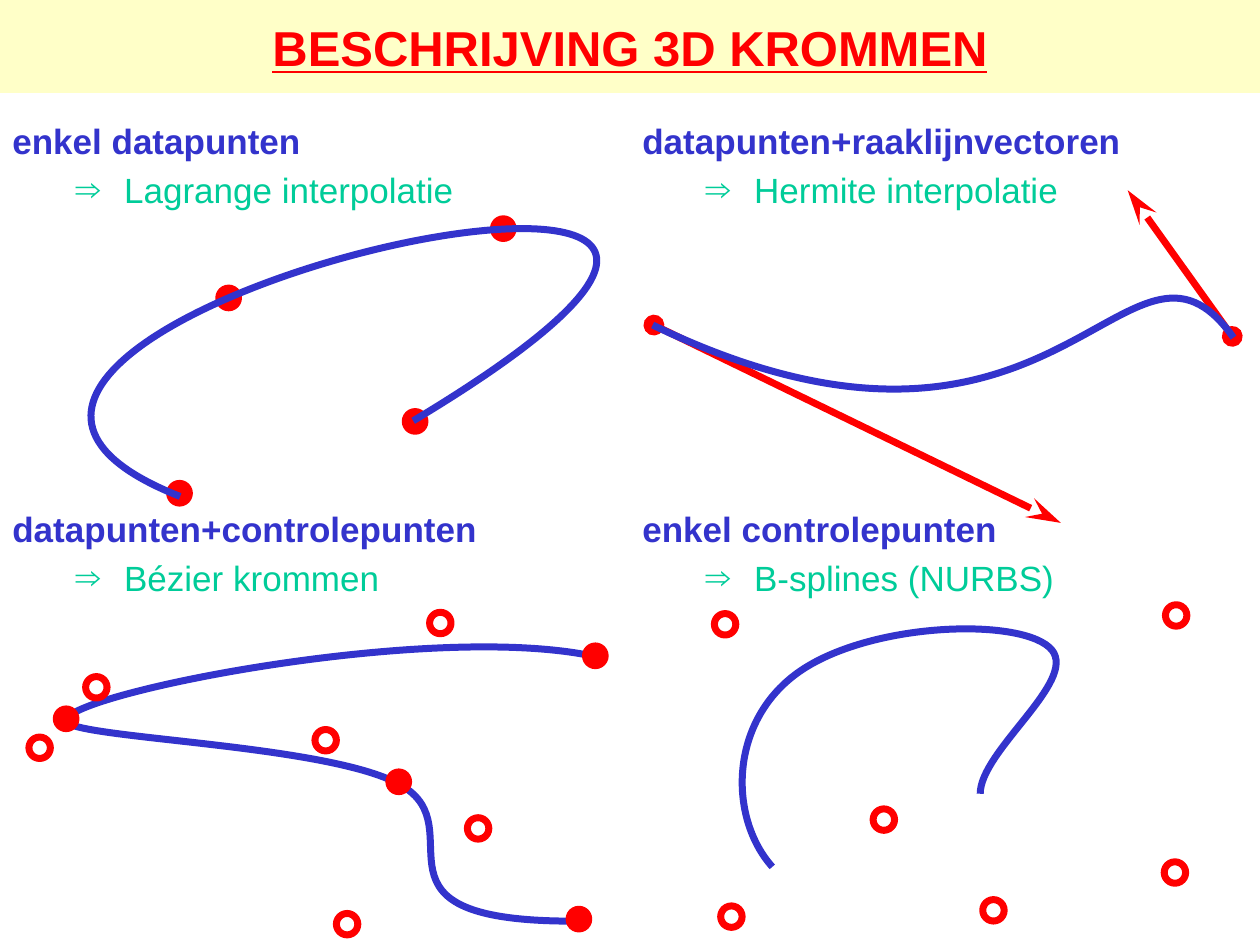
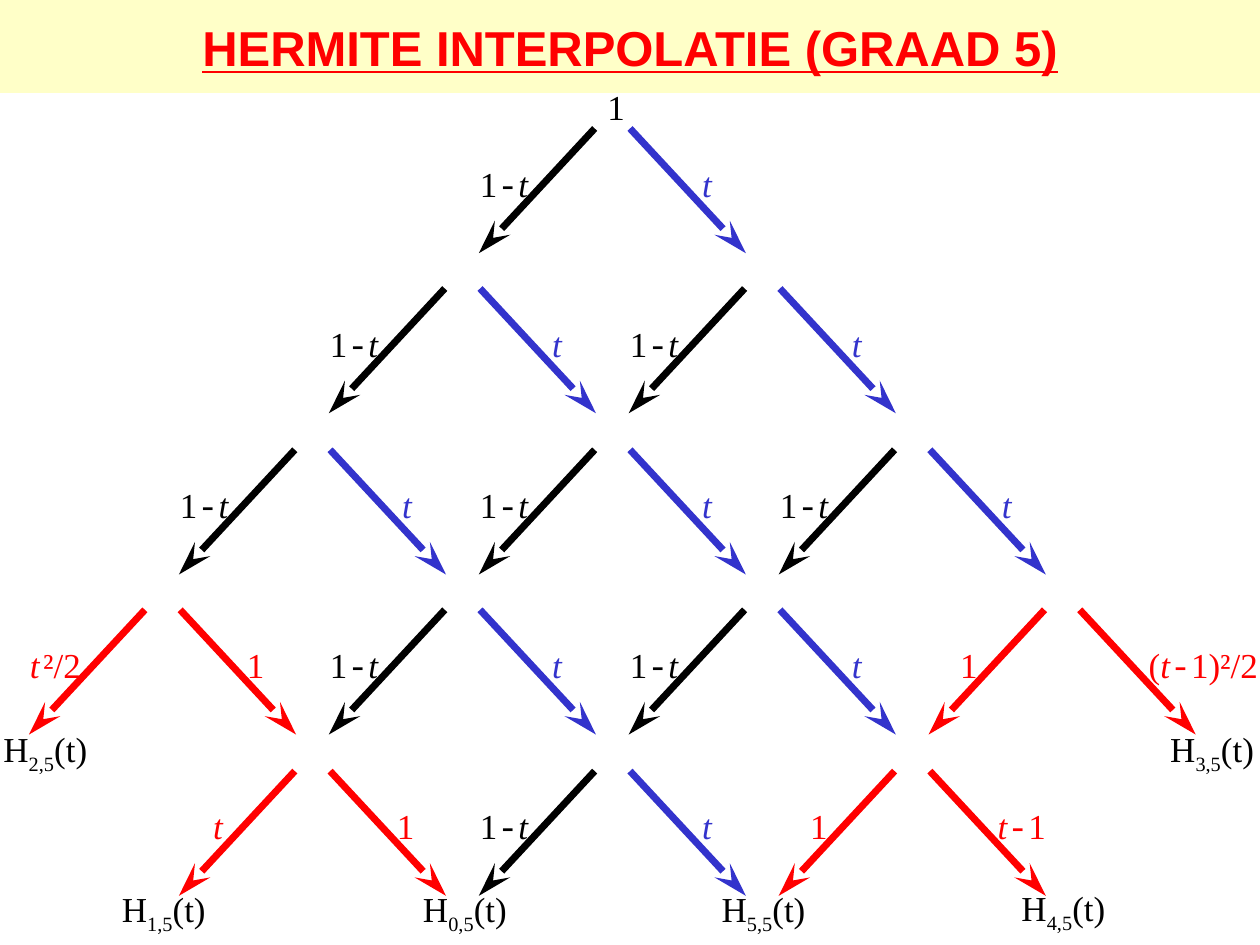
"""Build two slides on 3D curves: four ways to describe them and a Hermite scheme."""
from lxml import etree
from pptx import Presentation
from pptx.dml.color import RGBColor
from pptx.enum.shapes import MSO_CONNECTOR, MSO_SHAPE
from pptx.enum.text import MSO_ANCHOR, PP_ALIGN
from pptx.oxml.ns import qn
from pptx.util import Pt

PX = 9144
WIDE, HIGH = 1000, 750
STRAIGHT = MSO_CONNECTOR.STRAIGHT
RECT, OVAL = MSO_SHAPE.RECTANGLE, MSO_SHAPE.OVAL
LEFT, CENTER = PP_ALIGN.LEFT, PP_ALIGN.CENTER
TOP, MIDDLE = MSO_ANCHOR.TOP, MSO_ANCHOR.MIDDLE
SANS, SERIF, MONO = "Arial", "Times New Roman", "Courier New"
COLORS = {
    "band": "FFFFC8", "red": "FF0000", "blue": "3333CC",
    "green": "00CC99", "black": "000000", "white": "FFFFFF",
}

TITLES = ["BESCHRIJVING 3D KROMMEN", "HERMITE INTERPOLATIE (GRAAD 5)"]
TOPICS = [
    (0, 90, "enkel datapunten", "Lagrange interpolatie"),
    (500, 90, "datapunten+raaklijnvectoren", "Hermite interpolatie"),
    (0, 398, "datapunten+controlepunten", "Bézier krommen"),
    (500, 398, "enkel controlepunten", "B-splines (NURBS)"),
]
DOT = 17
LAGRANGE = {
    "curve": [(143, 394), (-200, 259), (843, 25), (328, 334)],
    "data": [(134, 383), (173, 228), (391, 173), (321, 326)],
}
HERMITE = {
    "curve": [(518, 258), (842, 414), (895, 150), (979, 268)],
    "tangents": [((519, 258), (842, 415)), ((978, 267), (895, 151))],
}
BEZIER = {
    "curve": [(462, 731), (276, 733), (380, 658), (318, 623), (257, 588),
              (28, 586), (54, 569), (77, 546), (348, 494), (472, 521)],
    "data": [(464, 512), (44, 562), (308, 612), (451, 721)],
    "control": [(341, 486), (68, 537), (23, 585), (250, 579), (371, 649), (267, 725)],
}
SPLINE = {
    "curve": [(613, 688), (578, 649), (578, 571), (636, 532), (694, 493),
              (814, 490), (835, 516), (855, 541), (778, 596), (778, 630)],
    "control": [(567, 487), (693, 642), (925, 480), (780, 714), (924, 684), (572, 719)],
}

# label: width, distance from node, runs with their style
LABELS = {
    "1-t": (58, 86, [("1", ""), ("-", "mono"), ("t", "italic")]),
    "t": (28, 75, [("t", "italic")]),
    "1": (34, 74, [("1", "")]),
    "t-1": (58, 87, [("t", "italic"), ("-", "mono"), ("1", "")]),
    "t²/2": (60, 85, [("t", "italic"), (" ", "small"), ("²/2", "")]),
    "(t-1)²/2": (89, 112, [("(", ""), ("t", "italic"), ("-", "mono"), ("1)²/2", "")]),
}
STEP = ("1-t", "t")
ROWS = [
    (0, [STEP]),
    (0, [STEP] * 2),
    (0, [STEP] * 3),
    (0, [("t²/2", "1"), STEP, STEP, ("1", "(t-1)²/2")]),
    (1, [("t", "1"), STEP, ("1", "t-1")]),
]
USUAL = {(-1, "1-t"): "black", (1, "t"): "blue"}
BASES = [("2,5", 36, 596), ("1,5", 130, 723), ("0,5", 369, 723),
         ("5,5", 606, 723), ("4,5", 844, 722), ("3,5", 962, 596)]
APEX, FIRST, HALF, PITCH = 486, 102, 119, 255
GAP, RUN, DROP = 14, 92, 99


def rgb(name):
    return RGBColor.from_string(COLORS[name])


def px(*vals):
    return [round(v * PX) for v in vals]


def style(run, color, size=20, font=SERIF, bold=False):
    run.font.name, run.font.size, run.font.bold = font, Pt(size), bold
    run.font.color.rgb = rgb(color)


def pen(shape, color, width):
    shape.line.color.rgb = rgb(color)
    shape.line.width = Pt(width)


def box(slide, x, y, w, h, anchor=MIDDLE):
    frame = slide.shapes.add_textbox(*px(x, y, w, h)).text_frame
    frame.word_wrap = True
    frame.vertical_anchor = anchor
    return frame


def solid(slide, kind, area, fill, edge, width):
    shape = slide.shapes.add_shape(kind, *px(*area))
    shape.shadow.inherit = False
    shape.fill.solid()
    shape.fill.fore_color.rgb = rgb(fill)
    pen(shape, edge, width)


def start(deck, title):
    slide = deck.slides.add_slide(deck.slide_layouts[6])
    solid(slide, RECT, (0, 0, WIDE, 73), "band", "band", 0)
    para = box(slide, 0, 0, WIDE, 75).paragraphs[0]
    para.text, para.alignment = title, CENTER
    style(para.runs[0], "red", 28, SANS, True)
    para.runs[0].font.underline = True
    return slide


def arrow(slide, tail, tip, color, oval=False):
    line = slide.shapes.add_connector(STRAIGHT, *px(*tail, *tip))
    pen(line, color, 4)
    ends = line.line._get_or_add_ln()
    if oval:
        etree.SubElement(ends, qn("a:headEnd"), type="oval")
    etree.SubElement(ends, qn("a:tailEnd"), type="stealth", w="med", len="lg")
    etree.SubElement(line._element.spPr, qn("a:effectLst"))


def curve(slide, points):
    pencil = slide.shapes.build_freeform(*points[0], scale=PX)
    pencil.add_line_segments(points[1:], close=False)
    shape = pencil.convert_to_shape()
    shape.shadow.inherit = False
    shape.fill.background()
    pen(shape, "blue", 4)
    track = shape._element.find(".//" + qn("a:path"))
    legs = track.findall(qn("a:lnTo"))
    for i in range(0, len(legs), 3):
        bend = etree.SubElement(track, qn("a:cubicBezTo"))
        for leg in legs[i:i + 3]:
            bend.append(leg[0])
            track.remove(leg)


def dots(slide, points, fill="red", width=3):
    for x, y in points:
        solid(slide, OVAL, (x, y, DOT, DOT), fill, "red", width)


def rings(slide, points):
    dots(slide, points, "white", 4)


def topic(slide, x, y, head, method):
    frame = box(slide, x, y, WIDE // 2, 83, TOP)
    frame.text = f"{head}\n {method}"
    first, second = frame.paragraphs
    style(first.runs[0], "blue", 20, SANS, True)
    style(second.runs[0], "green", 20, SANS)
    first.alignment = second.alignment = LEFT
    second.space_before = Pt(4)
    props = second._p.get_or_add_pPr()
    props.set("marL", str(81 * PX))
    props.set("indent", str(-31 * PX))
    etree.SubElement(props, qn("a:buFont"), typeface=SERIF)
    etree.SubElement(props, qn("a:buChar"), char="⇒")


def formula(slide, x, y, width, parts, color):
    frame = box(slide, x - width / 2, y - 21, width, 43)
    frame.word_wrap = False
    frame.margin_left = frame.margin_right = 0
    para = frame.paragraphs[0]
    para.alignment = CENTER
    for text, look in parts:
        run = para.add_run()
        run.text = text
        style(run, color, 8 if look == "small" else 20, MONO if look == "mono" else SERIF)
        run.font.italic = look == "italic"
        if look == "sub":
            run.font._element.set("baseline", "-25000")


def overview(deck):
    slide = start(deck, TITLES[0])
    for item in TOPICS:
        topic(slide, *item)
    curve(slide, SPLINE["curve"])
    rings(slide, SPLINE["control"])
    for tail, tip in HERMITE["tangents"]:
        arrow(slide, tail, tip, "red", True)
    curve(slide, HERMITE["curve"])
    dots(slide, LAGRANGE["data"])
    curve(slide, LAGRANGE["curve"])
    curve(slide, BEZIER["curve"])
    dots(slide, BEZIER["data"])
    rings(slide, BEZIER["control"])


def scheme(deck):
    slide = start(deck, TITLES[1])
    formula(slide, 489, 84, 34, LABELS["1"][2], "black")
    for row, (first, nodes) in enumerate(ROWS):
        y = FIRST + PITCH * row // 2
        for col, pair in enumerate(nodes, first):
            x = APEX + (2 * col - row) * HALF
            for side, name in zip((-1, 1), pair):
                color = USUAL.get((side, name), "red")
                width, away, parts = LABELS[name]
                near = x + side * GAP
                arrow(slide, (near, y), (near + side * RUN, y + DROP), color)
                formula(slide, x + side * away, y + 43, width, parts, color)
    for index, x, y in BASES:
        formula(slide, x, y, 70, [("H", ""), (index, "sub"), ("(t)", "")], "black")


def main():
    deck = Presentation()
    deck.slide_width, deck.slide_height = px(WIDE, HIGH)
    overview(deck)
    scheme(deck)
    deck.save("out.pptx")


if __name__ == "__main__":
    main()
